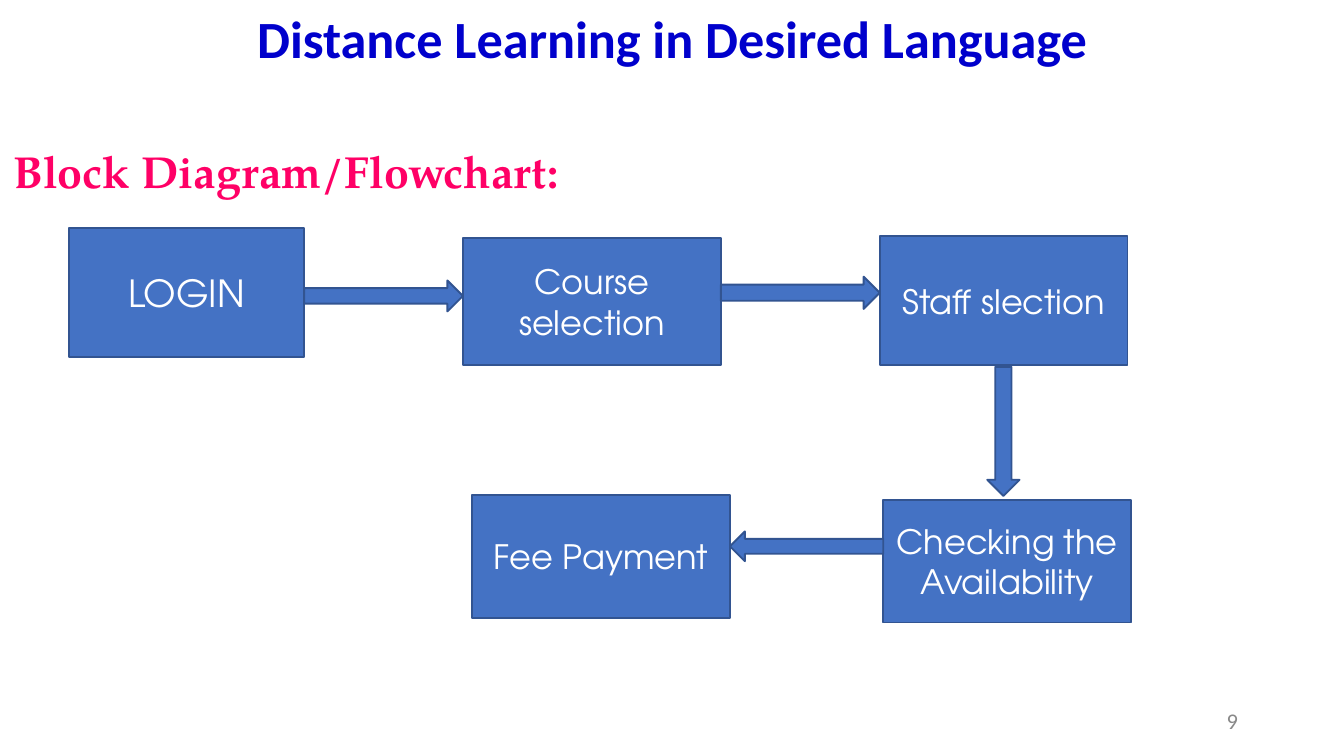
"""Build the distance learning flowchart slide."""
from dataclasses import dataclass

from pptx import Presentation, util as u
from pptx.dml.color import RGBColor
from pptx.enum import shapes, text

BLUE = RGBColor(0x44, 0x72, 0xC4)
EDGE = RGBColor(0x32, 0x54, 0x91)
NAVY = RGBColor(0x00, 0x00, 0xCC)
PINK = RGBColor(0xFF, 0x00, 0x66)
GREY = RGBColor(0x89, 0x89, 0x89)
WHITE = RGBColor(0xFF, 0xFF, 0xFF)
WIDE = u.Inches(10)
HIGH = u.Emu(WIDE * 9 // 16)
KIND = shapes.MSO_SHAPE
ALIGN = text.PP_ALIGN
ANCHOR = text.MSO_ANCHOR


@dataclass(frozen=True)
class Area:
    """Place and size in percent of the slide."""
    x: float
    y: float
    w: float
    h: float

    @property
    def right(self) -> float:
        return self.x + self.w

    @property
    def foot(self) -> float:
        return self.y + self.h

    def emu(self) -> tuple[int, int, int, int]:
        return (int(WIDE * self.x / 100), int(HIGH * self.y / 100),
                int(WIDE * self.w / 100), int(HIGH * self.h / 100))


@dataclass(frozen=True)
class Style:
    font: str
    size: int
    color: RGBColor
    bold: bool = False
    align: ALIGN = ALIGN.LEFT
    anchor: ANCHOR = ANCHOR.TOP


@dataclass(frozen=True)
class Step:
    label: str
    area: Area
    size: int = 18


@dataclass(frozen=True)
class Arrow:
    kind: KIND
    area: Area


def write(shape, label: str, style: Style) -> None:
    frame = shape.text_frame
    frame.text = label
    frame.word_wrap = True
    frame.auto_size = text.MSO_AUTO_SIZE.NONE
    frame.vertical_anchor = style.anchor
    for para in frame.paragraphs:
        para.alignment = style.align
        para.font.name = style.font
        para.font.size = u.Pt(style.size)
        para.font.bold = style.bold
        para.font.color.rgb = style.color


def label(slide, words: str, area: Area, style: Style) -> None:
    write(slide.shapes.add_textbox(*area.emu()), words, style)


def block(slide, kind: KIND, area: Area):
    shape = slide.shapes.add_shape(kind, *area.emu())
    shape.shadow.inherit = False
    shape.fill.solid()
    shape.fill.fore_color.rgb = BLUE
    shape.line.color.rgb = EDGE
    shape.line.width = u.Pt(1)
    return shape


def across(kind: KIND, start: Area, end: Area, y: float, h: float) -> Arrow:
    return Arrow(kind, Area(start.right, y, end.x - start.right, h))


LOGIN = Step("LOGIN", Area(5.14, 30.2, 17.5, 17.08), 20)
COURSE = Step("Course\nselection", Area(34.44, 31.5, 19.2, 16.8))
STAFF = Step("Staff slection", Area(65.46, 31.25, 18.44, 17.08))
CHECK = Step("Checking the Availability", Area(65.72, 66.15, 18.44, 16.2))
FEE = Step("Fee Payment", Area(35.12, 65.45, 19.2, 16.35))
STEPS = (LOGIN, COURSE, STAFF, CHECK, FEE)
ARROWS = (
    across(KIND.RIGHT_ARROW, LOGIN.area, COURSE.area, 37.1, 4.1),
    across(KIND.RIGHT_ARROW, COURSE.area, STAFF.area, 36.6, 4.27),
    Arrow(KIND.DOWN_ARROW, Area(73.46, STAFF.area.foot + 0.2, 2.4, 17.08)),
    across(KIND.LEFT_ARROW, FEE.area, CHECK.area, 70.3, 3.95),
)


def main() -> None:
    deck = Presentation()
    deck.slide_width, deck.slide_height = WIDE, HIGH
    slide = deck.slides.add_slide(deck.slide_layouts[5])
    title = slide.shapes.title
    title.left, title.top, title.width, title.height = Area(0, 0, 100, 16.7).emu()
    write(title, "Distance Learning in Desired Language",
          Style("Calibri", 28, NAVY, True, ALIGN.CENTER))
    label(slide, "Block Diagram/Flowchart:", Area(0, 18.1, 100, 9.07),
          Style("TeX Gyre Pagella", 24, PINK, True))
    label(slide, "9", Area(70.6, 92.7, 22.5, 5.34),
          Style("Calibri", 12, GREY, False, ALIGN.RIGHT, ANCHOR.MIDDLE))
    for step in STEPS:
        write(block(slide, KIND.RECTANGLE, step.area), step.label,
              Style("TeX Gyre Adventor", step.size, WHITE, False,
                    ALIGN.CENTER, ANCHOR.MIDDLE))
    for arrow in ARROWS:
        block(slide, arrow.kind, arrow.area)
    deck.save("out.pptx")


main()
